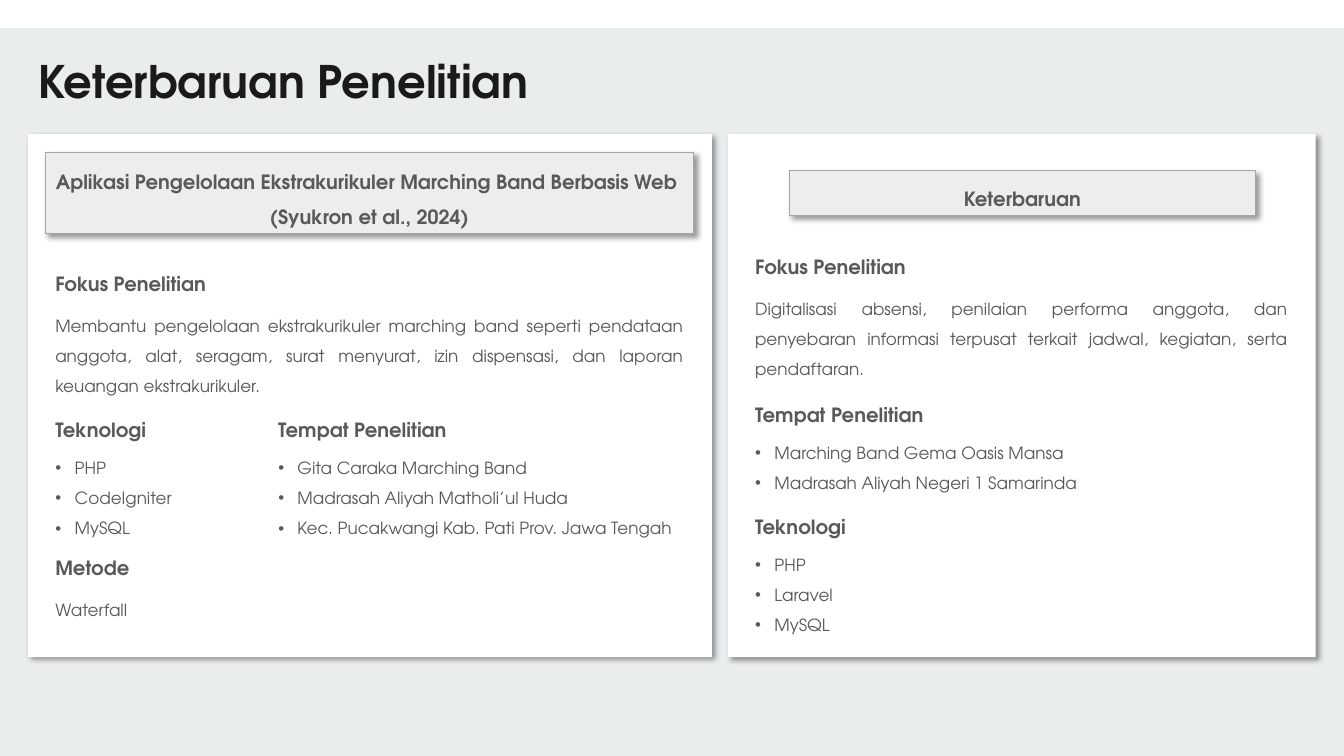
from lxml import etree
from pptx import Presentation
from pptx.dml.color import RGBColor
from pptx.enum.shapes import MSO_SHAPE as Form
from pptx.enum.text import MSO_ANCHOR as Anchor, MSO_AUTO_SIZE as Fit, PP_ALIGN as Align
from pptx.oxml.ns import qn
from pptx.util import Inches, Pt

MIST = RGBColor(0xE9, 0xED, 0xEE)
WHITE = RGBColor(0xFF, 0xFF, 0xFF)
PALE = RGBColor(0xED, 0xED, 0xED)
EDGE = RGBColor(0xA5, 0xA5, 0xA5)
GREY = RGBColor(0x59, 0x59, 0x59)
INK = RGBColor(0x1A, 0x1A, 0x1A)

FACE = "TeX Gyre Adventor"
TITLE = {"name": FACE, "size": Pt(32), "bold": True}
HEAD = {"name": FACE, "size": Pt(14), "bold": True}
BODY = {"name": FACE, "size": Pt(12), "bold": False}
FRAME = {"word_wrap": True, "auto_size": Fit.SHAPE_TO_FIT_TEXT, "vertical_anchor": Anchor.TOP}
FLOW = {"alignment": Align.JUSTIFY, "line_spacing": 1.5, "space_before": Pt(0)}
MID = FLOW | {"alignment": Align.CENTER}
PLAIN = FLOW | {"alignment": Align.LEFT, "line_spacing": 1.0}

LEFT = [
    (0, 1.2, 6.43, 3, "Fokus Penelitian", [
        "Membantu pengelolaan ekstrakurikuler marching band seperti pendataan anggota, alat, "
        "seragam, surat menyurat, izin dispensasi, dan laporan keuangan ekstrakurikuler."]),
    (0, 2.65, 2.21, 3, "Teknologi", ["PHP", "CodeIgniter", "MySQL"]),
    (2.21, 2.65, 4.22, 3, "Tempat Penelitian", [
        "Gita Caraka Marching Band", "Madrasah Aliyah Matholi’ul Huda",
        "Kec. Pucakwangi Kab. Pati Prov. Jawa Tengah"]),
    (0, 4.02, 1.28, 1, "Metode", ["Waterfall"]),
]
RIGHT = [
    (0, 1.03, 5.48, 3, "Fokus Penelitian", [
        "Digitalisasi absensi, penilaian performa anggota, dan penyebaran informasi terpusat "
        "terkait jadwal, kegiatan, serta pendaftaran."]),
    (0, 2.5, 3.47, 2, "Tempat Penelitian", [
        "Marching Band Gema Oasis Mansa", "Madrasah Aliyah Negeri 1 Samarinda"]),
    (0, 3.61, 3.47, 3, "Teknologi", ["PHP", "Laravel", "MySQL"]),
]


def apply(item, form):
    """Set each format value on an object."""
    for key, val in form.items():
        setattr(item, key, val)


def place(shape, x, y, w, h):
    """Move a shape to a box given in inches."""
    apply(shape, {"left": Inches(x), "top": Inches(y), "width": Inches(w), "height": Inches(h)})


def dot(para):
    """Give a paragraph a hanging round bullet."""
    props = para._p.get_or_add_pPr()
    props.set("marL", str(Inches(0.19)))
    props.set("indent", str(-Inches(0.19)))
    etree.SubElement(props, qn("a:buFont"), typeface="Arial")
    etree.SubElement(props, qn("a:buChar"), char="•")


def write(shape, lines, font, flow=FLOW, color=GREY, frame=FRAME, dots=False):
    """Fill a shape with one paragraph for each line."""
    text = shape.text_frame
    apply(text, frame)
    for num, line in enumerate(lines):
        para = text.add_paragraph() if num else text.paragraphs[0]
        if dots:
            dot(para)
        apply(para, flow)
        run = para.add_run()
        run.text = line
        apply(run.font, font)
        run.font.color.rgb = color


def panel(slide, x, y, w, h, fill, edge=None, shade=True):
    """Draw a filled rectangle, with an edge and a shadow if asked."""
    shape = slide.shapes.add_shape(Form.RECTANGLE, *map(Inches, (x, y, w, h)))
    shape.fill.solid()
    shape.fill.fore_color.rgb = fill
    if edge:
        shape.line.color.rgb = edge
        shape.line.width = Pt(0.5)
    else:
        shape.line.fill.background()
    shape.shadow.inherit = False
    if shade:
        effects = shape._element.spPr.find(qn("a:effectLst"))
        cast = etree.SubElement(effects, qn("a:outerShdw"), blurRad=str(Pt(4)),
                                dist=str(Pt(3)), dir="2700000", algn="tl", rotWithShape="0")
        tone = etree.SubElement(cast, qn("a:srgbClr"), val="000000")
        etree.SubElement(tone, qn("a:alpha"), val="40000")
    return shape


def label(slide, x, y, w, h, lines, font):
    """Add a text box."""
    write(slide.shapes.add_textbox(*map(Inches, (x, y, w, h))), lines, font)


def section(slide, x, y, w, rows, head, lines, slots):
    """Write a heading with its text or its bulleted list below."""
    dots = len(lines) > 1
    gap = 0.41 if dots else 0.45
    tall = 0.1 + 0.3 * rows
    label(slide, x, y, w, gap, [head], HEAD)
    if dots:
        body = next(slots)
        slide.shapes._spTree.append(body._element)
        place(body, x, y + gap, w, tall)
        write(body, lines, BODY, dots=True)
    else:
        label(slide, x, y + gap, w, tall, lines, BODY)


def card(slide, x, y, w, h, banner, lines, parts, slots):
    """Draw a white card with its banner and sections."""
    panel(slide, x, y, w, h, WHITE)
    left, top, wide, tall = banner
    tag = panel(slide, x + left, y + top, wide, tall, PALE, EDGE)
    write(tag, lines, HEAD, MID, frame=FRAME | {"vertical_anchor": Anchor.MIDDLE})
    for dx, dy, wide, rows, head, text in parts:
        section(slide, x + 0.17 + dx, y + dy, wide, rows, head, text, slots)


def heading(slide, x, y, w, h):
    """Place the slide title."""
    title = slide.shapes.title
    place(title, x, y, w, h)
    write(title, ["Keterbaruan Penelitian"], TITLE, PLAIN, INK, FRAME | {"word_wrap": False})


def main():
    """Build the slide and save it."""
    deck = Presentation()
    apply(deck, {"slide_width": Inches(13.33), "slide_height": Inches(7.5)})
    slide = deck.slides.add_slide(deck.slide_layouts.get_by_name("Comparison"))
    slide.background.fill.solid()
    slide.background.fill.fore_color.rgb = MIST
    slots = iter([item for item in slide.placeholders if item.placeholder_format.idx])
    heading(slide, 0.28, 0.48, 5.15, 0.64)
    panel(slide, 0, 0, 13.33, 0.28, WHITE, shade=False)
    card(slide, 0.28, 1.33, 6.78, 5.19, (0.17, 0.18, 6.43, 0.81),
         ["Aplikasi Pengelolaan Ekstrakurikuler Marching Band Berbasis Web ",
          "(Syukron et al., 2024)"], LEFT, slots)
    card(slide, 7.22, 1.33, 5.83, 5.19, (0.61, 0.36, 4.62, 0.45), ["Keterbaruan"], RIGHT, slots)
    deck.save("out.pptx")


if __name__ == "__main__":
    main()
